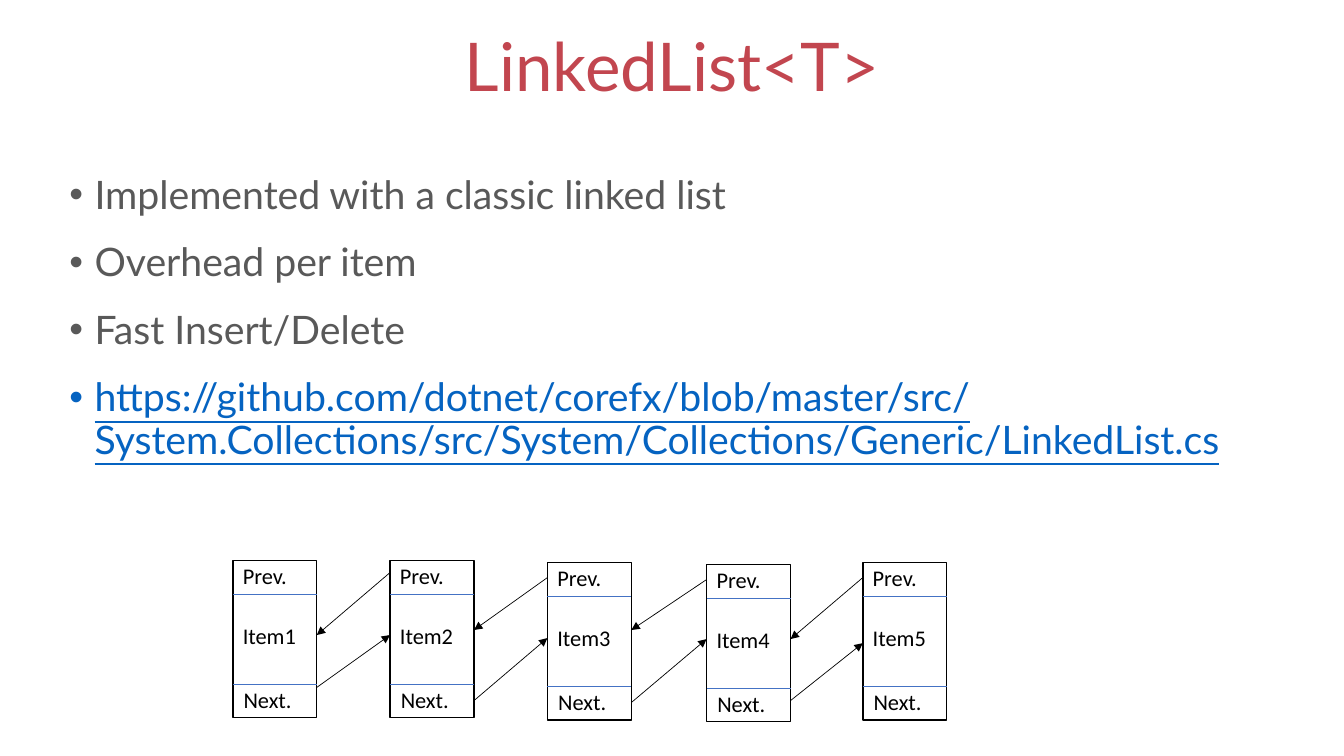
"""Build a slide on LinkedList<T> with a diagram of linked nodes."""
from lxml import etree
from pptx import Presentation
from pptx.dml.color import RGBColor
from pptx.enum import shapes, text
from pptx.oxml import ns
from pptx.util import Pt

HUES = {"title": "C2464F", "body": "595959", "link": "0563C1",
        "rule": "4472C4", "ink": "000000"}
TITLE = "LinkedList<T>"
LINK = ("https://github.com/dotnet/corefx/blob/master/src/"
        "System.Collections/src/System/Collections/Generic/LinkedList.cs")
POINTS = ["Implemented with a classic linked list", "Overhead per item",
          "Fast Insert/Delete", LINK]
NODES = [("Item1", 166.3, 400.3), ("Item2", 278.6, 400.3),
         ("Item3", 391, 401.8), ("Item4", 504.7, 403.2),
         ("Item5", 616.3, 401.8)]
WIDE, HIGH = 60, 112.4
RULES = [24.3, 88.4]
NEXT = [(491, 453.6), (500.4, 455.8), (501.8, 456.5), (500.4, 459.4)]
PREV = [(409, 453.6), (412.6, 450), (414, 450), (412.6, 456.5)]


def hue(name):
    """Return a named colour."""
    return RGBColor.from_string(HUES[name])


def add_sub(parent, tag, **attrs):
    """Append a drawing element with attributes."""
    return etree.SubElement(parent, ns.qn(tag), attrs)


def style(para, font, size, tint):
    """Format the runs of a paragraph."""
    for run in para.runs:
        run.font.name = font
        run.font.size = Pt(size)
        run.font.color.rgb = hue(tint)


def add_box(slide, left, top, wide, high, words):
    """Add a wrapping text box."""
    box = slide.shapes.add_textbox(Pt(left), Pt(top), Pt(wide), Pt(high))
    frame = box.text_frame
    frame.text = words
    frame.word_wrap = True
    return frame


def add_line(slide, start, end, tint, arrow=False):
    """Add a thin line, with an arrowhead at its end if asked."""
    line = slide.shapes.add_connector(
        shapes.MSO_CONNECTOR.STRAIGHT, *map(Pt, start + end))
    line.line.color.rgb = hue(tint)
    line.line.width = Pt(0.5)
    if arrow:
        add_sub(line.line._get_or_add_ln(), "a:tailEnd", type="triangle")
    add_sub(line._element.spPr, "a:effectLst")


def add_node(slide, name, left, top):
    """Add a list node with its three fields."""
    node = slide.shapes.add_shape(
        shapes.MSO_SHAPE.RECTANGLE, Pt(left), Pt(top), Pt(WIDE), Pt(HIGH))
    node.shadow.inherit = False
    node.fill.background()
    node.line.color.rgb = hue("ink")
    node.line.width = Pt(1)
    for drop in RULES:
        add_line(slide, (left, top + drop), (left + WIDE, top + drop), "rule")
    for words, shift, drop in [(name, 0, 40.5), ("Prev.", 0, -2.2),
                               ("Next.", 0.6, 86.5)]:
        frame = add_box(slide, left + shift, top + drop, WIDE, 26.6, words)
        frame.auto_size = text.MSO_AUTO_SIZE.SHAPE_TO_FIT_TEXT
        style(frame.paragraphs[0], "Calibri", 16, "ink")


def add_points(slide):
    """Add the bulleted list."""
    frame = add_box(slide, 42.5, 121.7, 869.8, 392.4, "\n".join(POINTS))
    for rank, para in enumerate(frame.paragraphs):
        props = para._p.get_or_add_pPr()
        props.set("marL", str(Pt(18)))
        props.set("indent", str(Pt(-18)))
        para.line_spacing = 0.9
        para.space_before = Pt(18 if rank else 0)
        add_sub(props, "a:buFont", typeface="Arial")
        add_sub(props, "a:buChar", char="•")
        style(para, "Lato", 28, "link" if para.text == LINK else "body")
    para.runs[0].font.underline = True


def main():
    """Build and save the slide."""
    deck = Presentation()
    deck.slide_width, deck.slide_height = Pt(960), Pt(540)
    slide = deck.slides.add_slide(deck.slide_layouts[6])
    frame = add_box(slide, 0, -2.2, 960, 104.4, TITLE)
    frame.vertical_anchor = text.MSO_ANCHOR.MIDDLE
    head = frame.paragraphs[0]
    head.alignment = text.PP_ALIGN.CENTER
    head.line_spacing = 0.9
    style(head, "Lato", 48, "title")
    add_points(slide)
    for node in NODES:
        add_node(slide, *node)
    for here, there, ahead, back in zip(NODES, NODES[1:], NEXT, PREV):
        right, left = here[1] + WIDE, there[1]
        add_line(slide, (right, ahead[0]), (left, ahead[1]), "ink", True)
        add_line(slide, (left, back[0]), (right, back[1]), "ink", True)
    deck.save("out.pptx")


if __name__ == "__main__":
    main()
